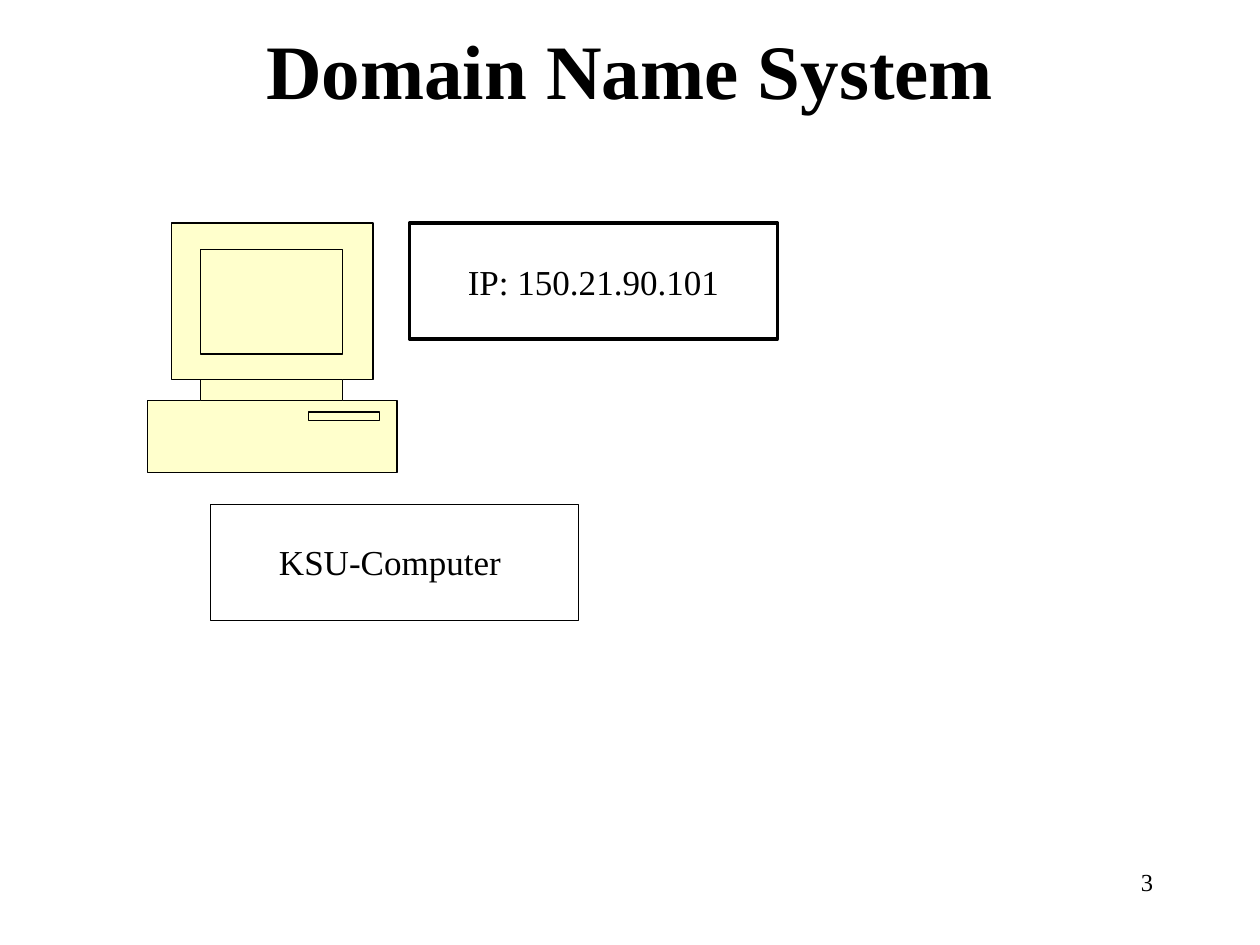
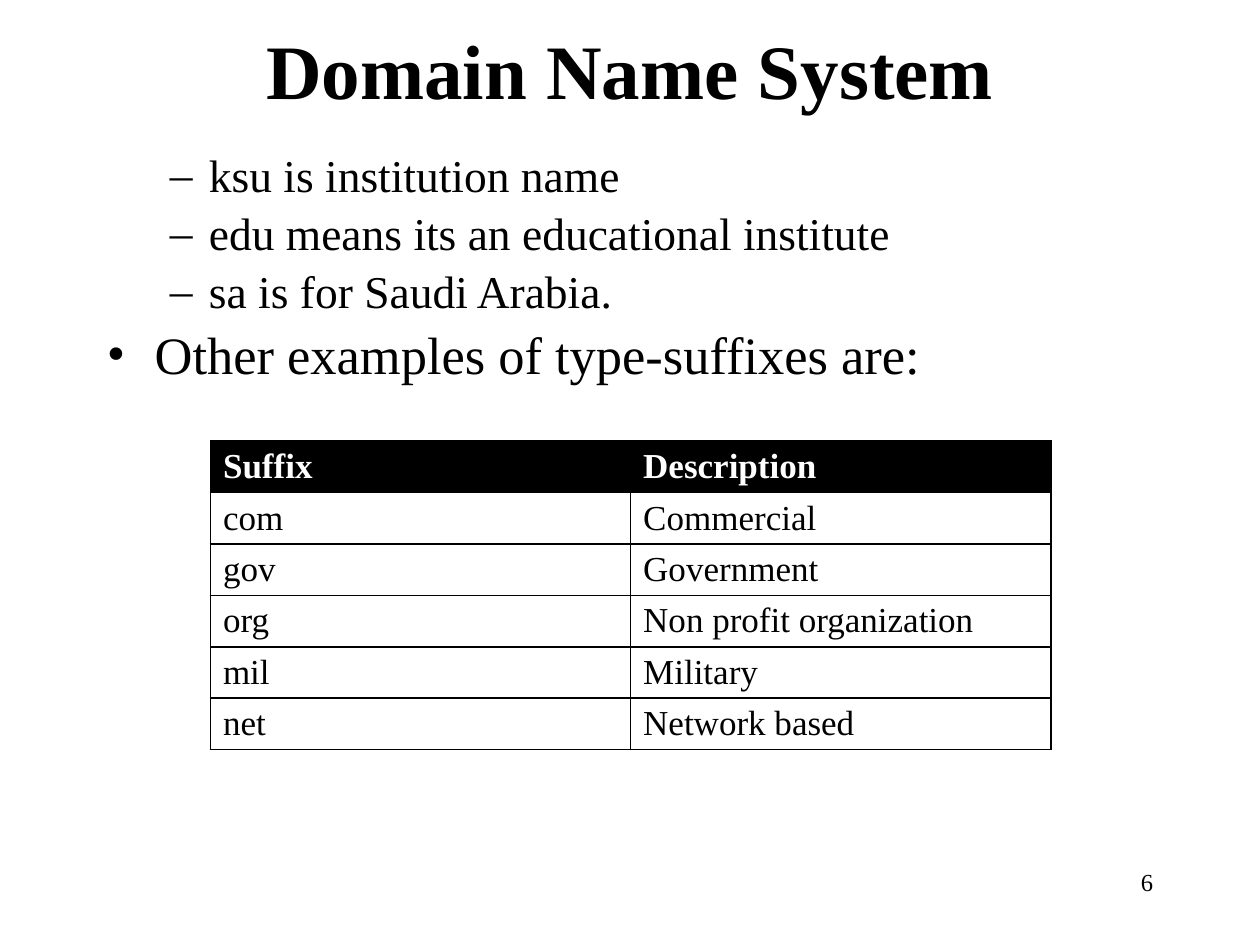
from copy import deepcopy

from lxml import etree
from pptx import Presentation
from pptx.dml.color import RGBColor
from pptx.enum.shapes import MSO_SHAPE
from pptx.enum.text import MSO_ANCHOR, PP_ALIGN
from pptx.oxml.ns import qn
from pptx.util import Inches, Pt

# Shared look
FONT = "Times New Roman"
BLACK = RGBColor(0x00, 0x00, 0x00)
WHITE = RGBColor(0xFF, 0xFF, 0xFF)
CREAM = RGBColor(0xFF, 0xFF, 0xCC)
RECTANGLE = MSO_SHAPE.RECTANGLE
LEFT, CENTER, RIGHT = PP_ALIGN.LEFT, PP_ALIGN.CENTER, PP_ALIGN.RIGHT
TOP, MIDDLE = MSO_ANCHOR.TOP, MSO_ANCHOR.MIDDLE

# Content
TITLE = "Domain Name System"
TITLE_AREA = (0.75, -0.08, 8.5, 1.25)
NUMBER_AREA = (7.17, 6.83, 2.08, 0.5)
BODY_AREA = (0.75, 1.17, 8.5, 5.33)

# text, left, top, line width, fill
LABEL_SIZE = (2.92, 0.92)
LABELS = [
    ("KSU-Computer ", 1.67, 4, 0.25, None),
    ("IP: 150.21.90.101", 3.25, 1.77, 2, WHITE),
]

# Computer parts as left, top, right, bottom in hundredths of an inch
MONITOR = (136, 177, 296, 301)
NECK = (159, 301, 272, 318)
CASE = (117, 318, 315, 375)
SCREEN = (159, 198, 272, 281)
DRIVE = (245, 327, 301, 334)

# Outline level, text
BULLETS = [
    (1, "ksu is institution name"),
    (1, "edu means its an educational institute"),
    (1, "sa is for Saudi Arabia."),
    (0, "Other examples of type-suffixes are:"),
]
# level: mark, size, left margin, hanging indent, space before
BULLET_STYLES = {
    0: ("•", 30, 0.38, 0.38, 6),
    1: ("–", 26, 0.81, 0.31, 5),
}

SUFFIXES = [
    ("Suffix", "Description"),
    ("com", "Commercial"),
    ("gov", "Government"),
    ("org", "Non profit organization"),
    ("mil", "Military"),
    ("net", "Network based"),
]
TABLE_AREA = (1.67, 3.5, 6.67, 2.45)


def inches(values):
    return [Inches(value) for value in values]


def write(para, text, size=20, color=BLACK, bold=False, align=LEFT):
    para.alignment = align
    span = para.add_run()
    span.text = text
    span.font.name = FONT
    span.font.size = Pt(size)
    span.font.bold = bold
    span.font.color.rgb = color


def add_text_frame(slide, area, anchor=TOP):
    frame = slide.shapes.add_textbox(*inches(area)).text_frame
    frame.word_wrap = True
    frame.vertical_anchor = anchor
    return frame


def style_shape(shape, fill, line_width):
    shape.shadow.inherit = False
    if fill is None:
        shape.fill.background()
    else:
        shape.fill.solid()
        shape.fill.fore_color.rgb = fill
    shape.line.color.rgb = BLACK
    shape.line.width = Pt(line_width)


def add_page(deck, number):
    page = deck.slides.add_slide(deck.slide_layouts[6])
    write(add_text_frame(page, NUMBER_AREA).paragraphs[0], str(number), size=14, align=RIGHT)
    title = add_text_frame(page, TITLE_AREA, anchor=MIDDLE)
    write(title.paragraphs[0], TITLE, size=44, bold=True, align=CENTER)
    return page


def corners(part):
    left, top, right, bottom = part
    return [(left, top), (right, top), (right, bottom), (left, bottom)]


def add_computer(page):
    # Silhouette: monitor on top of the neck on top of the case
    upper, middle, lower = corners(MONITOR), corners(NECK), corners(CASE)
    silhouette = (upper[:3] + middle[1:3] + lower[1:]
                  + [lower[0], middle[3], middle[0], upper[3]])
    outlines = [silhouette] + [corners(part) for part in (NECK, SCREEN, DRIVE)]
    builder = page.shapes.build_freeform(*silhouette[0], scale=Inches(0.01))
    for index, points in enumerate(outlines):
        if index:
            builder.move_to(*points[0])
        builder.add_line_segments(points[1:], close=True)
    computer = builder.convert_to_shape()
    style_shape(computer, CREAM, 0.75)

    # One path for each outline, so that the inner parts are filled too
    path_list = computer.element.find(".//" + qn("a:pathLst"))
    whole = path_list[0]
    for step in list(whole):
        if step.tag == qn("a:moveTo"):
            outline = deepcopy(whole)
            for old_step in list(outline):
                outline.remove(old_step)
            path_list.append(outline)
        outline.append(step)
    path_list.remove(whole)


def add_label(page, text, left, top, line_width, fill):
    box = page.shapes.add_shape(RECTANGLE, *inches((left, top, *LABEL_SIZE)))
    style_shape(box, fill, line_width)
    box.text_frame.vertical_anchor = MIDDLE
    write(box.text_frame.paragraphs[0], text, align=CENTER)


def add_bullets(page):
    frame = add_text_frame(page, BODY_AREA)
    for index, (level, text) in enumerate(BULLETS):
        mark, size, margin, hanging, space = BULLET_STYLES[level]
        para = frame.add_paragraph() if index else frame.paragraphs[0]
        write(para, text, size=size)
        para.level = level
        para.line_spacing = 0.9
        para.space_before = Pt(space)
        properties = para._p.get_or_add_pPr()
        properties.set("marL", str(Inches(margin)))
        properties.set("indent", str(-Inches(hanging)))
        etree.SubElement(properties, qn("a:buFont"), typeface=FONT)
        etree.SubElement(properties, qn("a:buChar"), char=mark)


def add_borders(cell):
    properties = cell._tc.get_or_add_tcPr()
    for index, side in enumerate(("lnL", "lnR", "lnT", "lnB")):
        line = etree.Element(qn("a:" + side), w=str(Pt(1)))
        fill = etree.SubElement(line, qn("a:solidFill"))
        etree.SubElement(fill, qn("a:srgbClr"), val=str(BLACK))
        properties.insert(index, line)


def add_suffix_table(page):
    frame = page.shapes.add_table(len(SUFFIXES), len(SUFFIXES[0]), *inches(TABLE_AREA))
    for row_index, row in enumerate(SUFFIXES):
        header = row_index == 0
        for column_index, text in enumerate(row):
            cell = frame.table.cell(row_index, column_index)
            cell.margin_bottom = Inches(0.02)
            cell.fill.solid()
            cell.fill.fore_color.rgb = BLACK if header else WHITE
            add_borders(cell)
            write(cell.text_frame.paragraphs[0], text,
                  color=WHITE if header else BLACK, bold=header)


def main():
    deck = Presentation()
    deck.slide_width, deck.slide_height = Inches(10), Inches(7.5)

    # A computer with its name and address
    page = add_page(deck, 3)
    add_computer(page)
    for label in LABELS:
        add_label(page, *label)

    # Parts of a domain name and the common suffixes
    page = add_page(deck, 6)
    add_bullets(page)
    add_suffix_table(page)

    deck.save("out.pptx")


if __name__ == "__main__":
    main()
